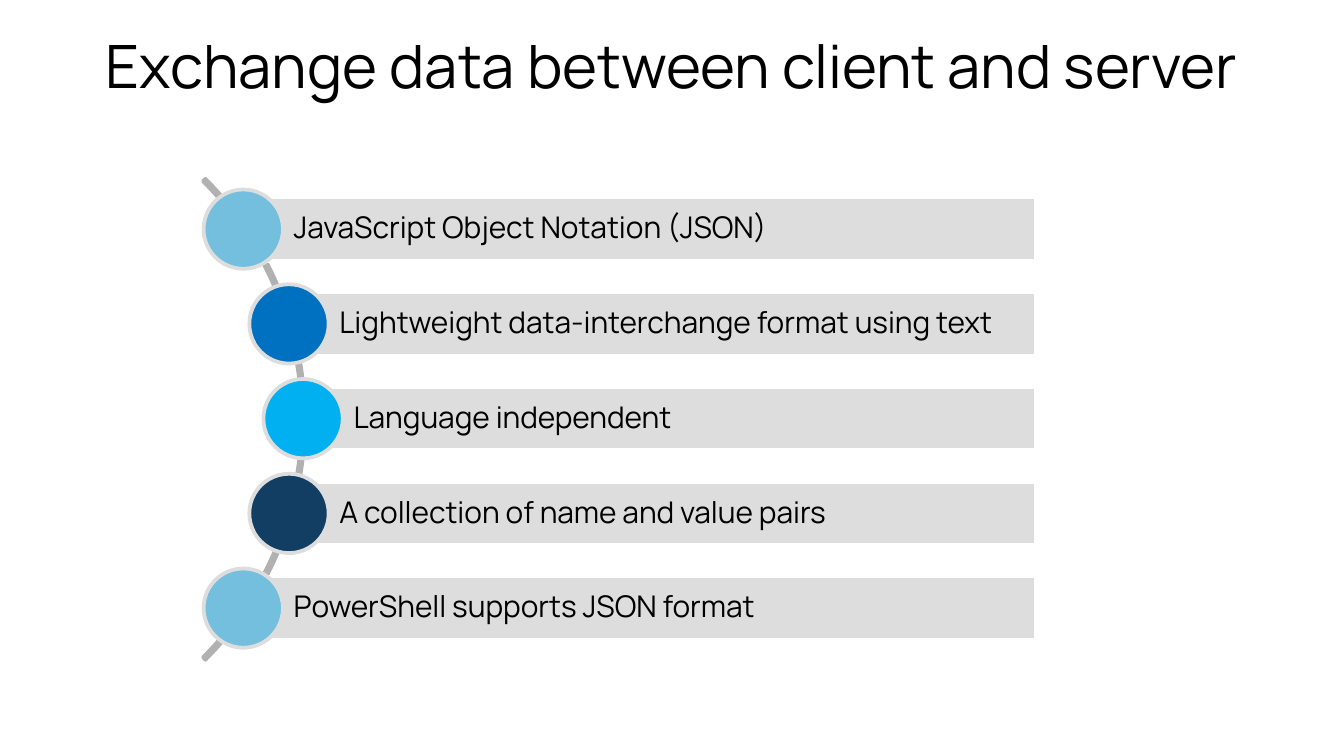
from dataclasses import dataclass

from pptx import Presentation
from pptx import util as u
from pptx.dml import color
from pptx.enum import shapes, text

PX = u.Inches(1) // 200


@dataclass(frozen=True)
class Theme:
    font: str = "Manrope"
    title_size: int = 32
    item_size: int = 16
    line_width: int = 2
    ink: str = "000000"
    paper: str = "FFFFFF"
    bar: str = "DDDDDD"
    arc: str = "B1B1B1"
    light_blue: str = "73BFDD"
    blue: str = "0070C0"
    cyan: str = "00B0F0"
    navy: str = "123E64"


@dataclass(frozen=True)
class Item:
    label: str
    dot_left: int
    dot_color: str


THEME = Theme()
ITEMS = [
    Item("JavaScript Object Notation (JSON)", 303, THEME.light_blue),
    Item("Lightweight data-interchange format using text", 371, THEME.blue),
    Item("Language independent", 392, THEME.cyan),
    Item("A collection of name and value pairs", 371, THEME.navy),
    Item("PowerShell supports JSON format", 303, THEME.light_blue),
]
FIRST_TOP, PITCH = 294, 141
BAR_RIGHT, BAR_HEIGHT = 1541, 94
DOT_SIZE = 118
DOT_RISE = (DOT_SIZE - BAR_HEIGHT) // 2


def add_outlined(slide, kind, left: int, top: int, width: int, height: int,
                 line: str, fill: str | None = None):
    shape = slide.shapes.add_shape(kind, left * PX, top * PX, width * PX, height * PX)
    shape.shadow.inherit = False
    if fill:
        shape.fill.solid()
        shape.fill.fore_color.rgb = color.RGBColor.from_string(fill)
    else:
        shape.fill.background()
    shape.line.color.rgb = color.RGBColor.from_string(line)
    shape.line.width = u.Pt(THEME.line_width)
    return shape


def write_text(frame, words: str, size: int, align) -> None:
    frame.word_wrap = True
    frame.vertical_anchor = text.MSO_ANCHOR.MIDDLE
    para = frame.paragraphs[0]
    para.text = words
    para.alignment = align
    para.font.name = THEME.font
    para.font.size = u.Pt(size)
    para.font.color.rgb = color.RGBColor.from_string(THEME.ink)


def add_title(slide, words: str) -> None:
    title = slide.shapes.title
    title.left, title.top, title.width, title.height = 100 * PX, 22 * PX, 1800 * PX, 147 * PX
    write_text(title.text_frame, words, THEME.title_size, text.PP_ALIGN.CENTER)


def add_arc(slide) -> None:
    arc = add_outlined(slide, shapes.MSO_SHAPE.BLOCK_ARC, -558, 118, 1012, 1012, THEME.arc)
    for index, value in enumerate((189, 27, 0.005)):
        arc.adjustments[index] = value


def add_item(slide, item: Item, top: int) -> None:
    left = item.dot_left + DOT_SIZE // 2
    bar = add_outlined(slide, shapes.MSO_SHAPE.RECTANGLE, left, top,
                       BAR_RIGHT - left, BAR_HEIGHT, THEME.paper, THEME.bar)
    frame = bar.text_frame
    frame.margin_left = 75 * PX
    frame.margin_top = frame.margin_right = frame.margin_bottom = 8 * PX
    write_text(frame, item.label, THEME.item_size, text.PP_ALIGN.LEFT)
    frame.paragraphs[0].line_spacing = 0.9
    add_outlined(slide, shapes.MSO_SHAPE.OVAL, item.dot_left, top - DOT_RISE,
                 DOT_SIZE, DOT_SIZE, THEME.bar, item.dot_color)


def main() -> None:
    deck = Presentation()
    deck.slide_width, deck.slide_height = 2000 * PX, 1125 * PX
    slide = deck.slides.add_slide(deck.slide_layouts[5])
    add_title(slide, "Exchange data between client and server")
    add_arc(slide)
    for index, item in enumerate(ITEMS):
        add_item(slide, item, FIRST_TOP + index * PITCH)
    deck.save("out.pptx")


if __name__ == "__main__":
    main()
